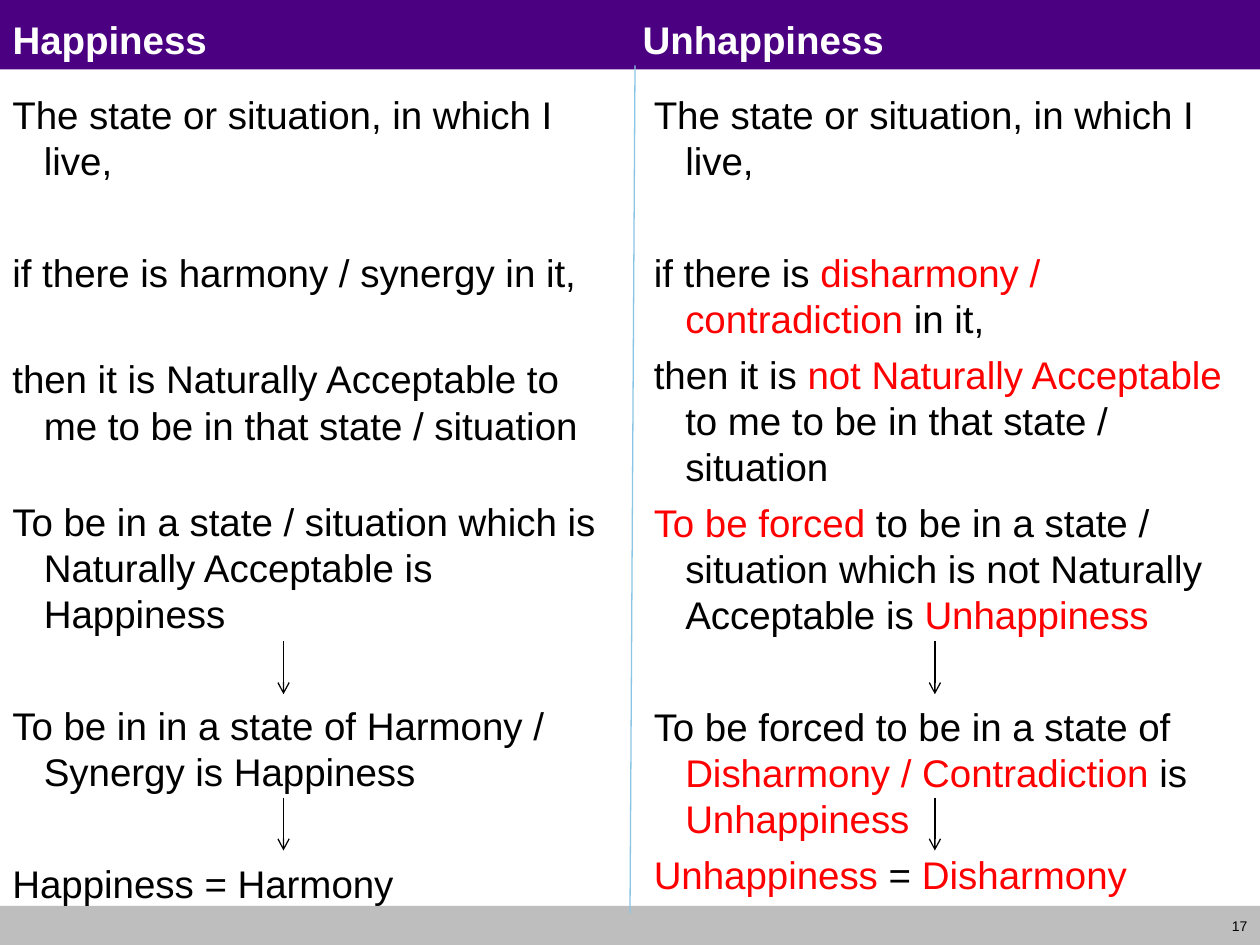
from dataclasses import dataclass

from lxml import etree
from pptx import Presentation
from pptx.dml.color import RGBColor
from pptx.enum.shapes import MSO_CONNECTOR, MSO_SHAPE
from pptx.enum.text import MSO_ANCHOR, MSO_AUTO_SIZE, PP_ALIGN
from pptx.oxml.ns import qn
from pptx.util import Inches, Pt

STRAIGHT = MSO_CONNECTOR.STRAIGHT
RECTANGLE = MSO_SHAPE.RECTANGLE
TOP, MIDDLE = MSO_ANCHOR.TOP, MSO_ANCHOR.MIDDLE
LEFT, RIGHT = PP_ALIGN.LEFT, PP_ALIGN.RIGHT
NO_FIT = MSO_AUTO_SIZE.NONE


@dataclass(frozen=True)
class Theme:
    font: str = "Arial"
    text: str = "000000"
    inverse: str = "FFFFFF"
    accent: str = "FF0000"
    header: str = "4B0082"
    footer: str = "BEBEBE"
    divider: str = "8AC6E4"
    body_size: float = 22
    number_size: float = 8
    line_width: float = 0.75
    hanging: float = 0.25
    near: float = 5.5
    medium: float = 28.8
    wide: float = 34.6
    far: float = 37.5


THEME = Theme()
SLIDE_WIDTH, SLIDE_HEIGHT = 10, 7.5
HEADER_BOX = (0, 0, SLIDE_WIDTH, 0.55)
TITLE_BOX = (0, 0.08, SLIDE_WIDTH, 0.42)
FOOTER_BOX = (0, 7.19, SLIDE_WIDTH, 0.33)
HAPPINESS_BOX = (0, 0.67, 4.93, 6.5)
UNHAPPINESS_BOX = (5.09, 0.67, 4.91, 6.5)
ARROW_TOPS = (4.42, 5.66)
ARROW_LENGTH = 0.42

HAPPINESS = [
    (0, "The state or situation, in which I live,"),
    (THEME.far, "if there is harmony / synergy in it,"),
    (THEME.wide, "then it is Naturally Acceptable to me to be in that state / situation"),
    (THEME.medium, "To be in a state / situation which is Naturally Acceptable is Happiness"),
    (THEME.far, "To be in in a state of Harmony / Synergy is Happiness"),
    (THEME.far, "Happiness = Harmony"),
]
UNHAPPINESS = [
    (0, "The state or situation, in which I live,"),
    (THEME.far, "if there is *disharmony / contradiction *in it,"),
    (THEME.near, "then it is *not Naturally Acceptable *to me to be in that "
                 "state / situation"),
    (THEME.near, "*To be forced *to be in a state / situation which is not "
                 "Naturally Acceptable is *Unhappiness*"),
    (THEME.far, "To be forced to be in a state of *Disharmony / Contradiction *is "
                "*Unhappiness*"),
    (THEME.near, "*Unhappiness* =* Disharmony*"),
]


def inches(box):
    return [Inches(value) for value in box]


def write(para, text, size=THEME.body_size, color=THEME.text, bold=False,
          align=LEFT, before=0):
    para.alignment = align
    para.space_before = Pt(before)
    for index, part in enumerate(text.split("*")):
        if part:
            span = para.add_run()
            span.text = part
            span.font.name = THEME.font
            span.font.size = Pt(size)
            span.font.bold = bold
            shade = THEME.accent if index % 2 else color
            span.font.color.rgb = RGBColor.from_string(shade)


def prepare_frame(frame, anchor=TOP):
    frame.word_wrap = True
    frame.auto_size = NO_FIT
    frame.vertical_anchor = anchor
    frame.margin_left = frame.margin_right = Inches(0.1)
    frame.margin_top = frame.margin_bottom = Inches(0.05)
    return frame


def add_bar(page, box, color):
    bar = page.shapes.add_shape(RECTANGLE, *inches(box))
    bar.shadow.inherit = False
    bar.fill.solid()
    bar.fill.fore_color.rgb = RGBColor.from_string(color)
    bar.line.fill.background()
    return bar


def add_line(page, start, end, color, arrow=False):
    line = page.shapes.add_connector(STRAIGHT, *inches(start + end))
    line.line.color.rgb = RGBColor.from_string(color)
    line.line.width = Pt(THEME.line_width)
    if arrow:
        etree.SubElement(line.line._get_or_add_ln(), qn("a:tailEnd"), type="arrow")
    etree.SubElement(line._element.spPr, qn("a:effectLst"))


def add_header(page, box):
    bar = add_bar(page, box, THEME.header)
    title = page.shapes.title
    title._element.addprevious(bar._element)
    title.left, title.top, title.width, title.height = inches(TITLE_BOX)
    para = prepare_frame(title.text_frame).paragraphs[0]
    tabs = etree.SubElement(para._p.get_or_add_pPr(), qn("a:tabLst"))
    etree.SubElement(tabs, qn("a:tab"), pos=str(Inches(5)), algn="l")
    write(para, "Happiness\tUnhappiness", color=THEME.inverse, bold=True)


def add_footer(page, box, number):
    left, top, width, height = box
    add_bar(page, box, THEME.footer)
    label_width = 0.47
    label = page.shapes.add_textbox(
        *inches((left + width - label_width, top, label_width, height - 0.01)))
    frame = prepare_frame(label.text_frame, MIDDLE)
    write(frame.paragraphs[0], number, size=THEME.number_size, align=RIGHT)


def add_column(page, box, statements, arrow_offset):
    left, top, width, height = box
    column = page.shapes.add_textbox(*inches(box))
    frame = prepare_frame(column.text_frame)
    for index, (before, text) in enumerate(statements):
        para = frame.add_paragraph() if index else frame.paragraphs[0]
        properties = para._p.get_or_add_pPr()
        properties.set("marL", str(Inches(THEME.hanging)))
        properties.set("indent", str(Inches(-THEME.hanging)))
        write(para, text, before=before)
    x = left + arrow_offset
    for offset in ARROW_TOPS:
        y = top + offset
        add_line(page, (x, y), (x, y + ARROW_LENGTH), THEME.text, arrow=True)


def main():
    deck = Presentation()
    deck.slide_width, deck.slide_height = inches((SLIDE_WIDTH, SLIDE_HEIGHT))
    page = deck.slides.add_slide(deck.slide_layouts[5])
    add_header(page, HEADER_BOX)
    add_footer(page, FOOTER_BOX, "17")
    add_line(page, (5.04, 0.52), (5, 7.25), THEME.divider)
    add_column(page, HAPPINESS_BOX, HAPPINESS, 2.25)
    add_column(page, UNHAPPINESS_BOX, UNHAPPINESS, 2.33)
    deck.save("out.pptx")


if __name__ == "__main__":
    main()
